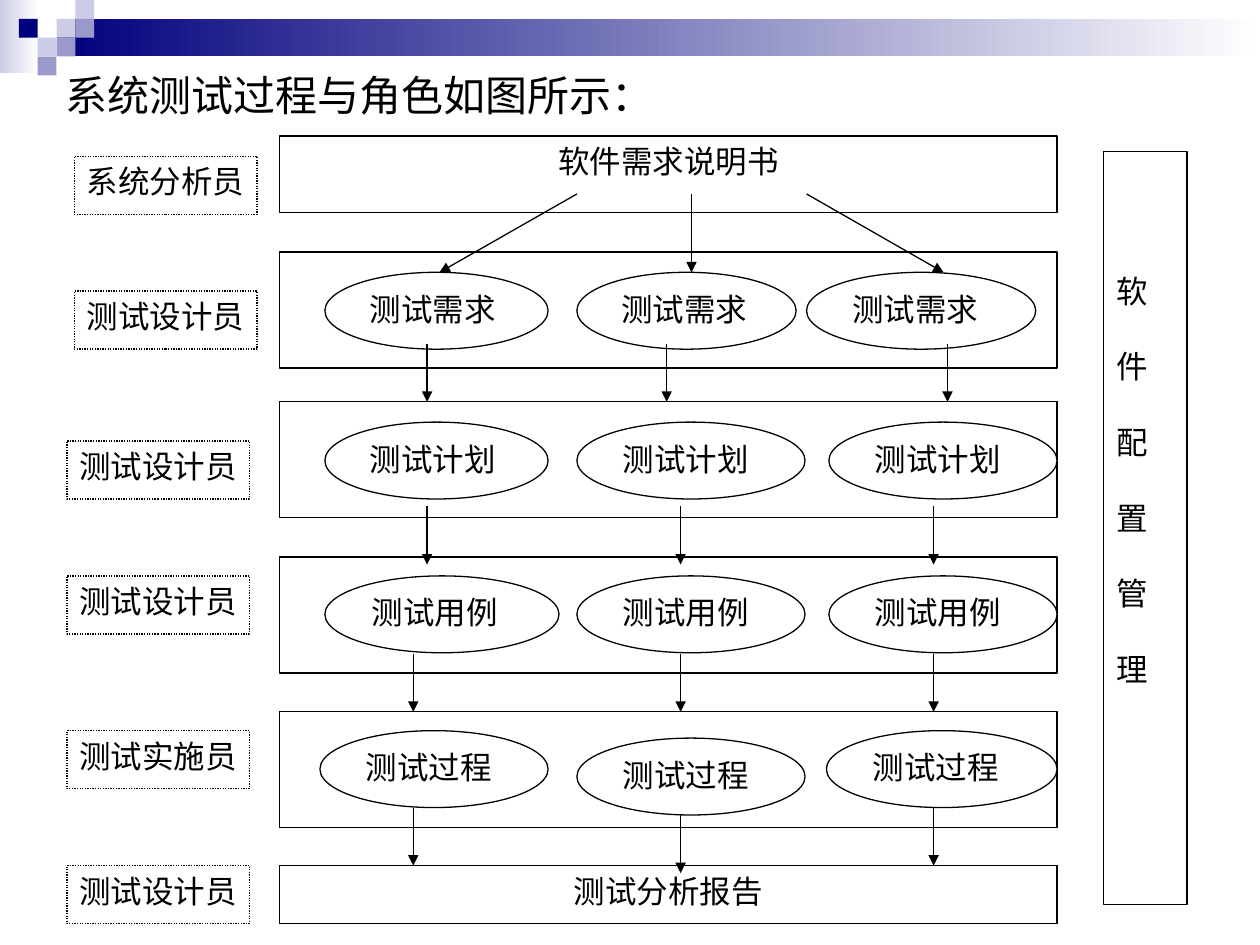
from dataclasses import dataclass

from lxml import etree
from pptx import Presentation
from pptx import util as u
from pptx.dml.color import RGBColor
from pptx.enum import dml, shapes, text
from pptx.oxml.ns import qn


@dataclass(frozen=True)
class Theme:
    font: str = "Arial"
    title_size: float = 24
    body_size: float = 18
    line_width: float = 0.75
    ink: str = "000000"
    paper: str = "FFFFFF"
    navy: str = "00007D"
    lilac: str = "9999CC"
    pale: str = "CCCCE6"


class FlowSlide:
    """Holds the theme and the current slide; all lengths are centimetres."""

    def __init__(self, prs, theme):
        self.theme = theme
        self.s = prs.slides.add_slide(prs.slide_layouts[5])

    def set_text(self, tf, lines, size, align=text.PP_ALIGN.LEFT, gap=0):
        """Put one paragraph per line, gap points apart."""
        tf.word_wrap = True
        tf.auto_size = text.MSO_AUTO_SIZE.NONE
        tf.vertical_anchor = text.MSO_ANCHOR.TOP
        for i, line in enumerate(lines):
            p = tf.paragraphs[0] if i == 0 else tf.add_paragraph()
            p.text = line
            p.alignment = align
            if i and gap:
                p.space_before = u.Pt(gap)
            p.font.size = u.Pt(size)
            p.font.name = self.theme.font
            p.font.color.rgb = RGBColor.from_string(self.theme.ink)

    def title(self, words, x, y, w, h):
        sp = self.s.shapes.title
        sp.left, sp.top, sp.width, sp.height = map(u.Cm, (x, y, w, h))
        self.set_text(sp.text_frame, [words], self.theme.title_size)

    def shape(self, kind, x, y, w, h):
        sp = self.s.shapes.add_shape(kind, *map(u.Cm, (x, y, w, h)))
        sp.shadow.inherit = False
        return sp

    def tile(self, colour, x, y, w, h):
        """Unlined block; it fades from one colour to the other if two are given."""
        sp = self.shape(shapes.MSO_SHAPE.RECTANGLE, x, y, w, h)
        sp.line.fill.background()
        if isinstance(colour, str):
            sp.fill.solid()
            sp.fill.fore_color.rgb = RGBColor.from_string(colour)
            return
        sp.fill.gradient()
        sp.fill.gradient_angle = 0
        for stop, position, c in zip(sp.fill.gradient_stops, (0, 1), colour):
            stop.position = position
            stop.color.rgb = RGBColor.from_string(c)

    def box(self, x, y, w, h, kind=shapes.MSO_SHAPE.RECTANGLE):
        sp = self.shape(kind, x, y, w, h)
        sp.fill.solid()
        sp.fill.fore_color.rgb = RGBColor.from_string(self.theme.paper)
        self.outline(sp.line)
        return sp

    def outline(self, line):
        line.color.rgb = RGBColor.from_string(self.theme.ink)
        line.width = u.Pt(self.theme.line_width)

    def banner(self, words, x, y, w, h):
        sp = self.box(x, y, w, h)
        self.set_text(sp.text_frame, [words], self.theme.body_size, text.PP_ALIGN.CENTER)

    def oval(self, words, x, y, w, h):
        sp = self.box(x, y, w, h, shapes.MSO_SHAPE.OVAL)
        self.set_text(sp.text_frame, [words], self.theme.body_size)

    def role(self, words, x, y, w, h):
        sp = self.box(x, y, w, h)
        sp.line.dash_style = dml.MSO_LINE.ROUND_DOT
        sp.text_frame.margin_right = 0
        self.set_text(sp.text_frame, [words], self.theme.body_size)

    def side_bar(self, words, x, y, w, h, top, gap):
        """Bar whose characters are stacked one per paragraph."""
        sp = self.box(x, y, w, h)
        sp.text_frame.margin_top = u.Cm(top)
        self.set_text(sp.text_frame, words, self.theme.body_size, gap=gap)

    def arrow(self, x1, y1, x2, y2):
        c = self.s.shapes.add_connector(
            shapes.MSO_CONNECTOR.STRAIGHT, *map(u.Cm, (x1, y1, x2, y2)))
        self.outline(c.line)
        sp_pr = c._element.spPr
        etree.SubElement(sp_pr.find(qn("a:ln")), qn("a:tailEnd"), type="triangle")
        etree.SubElement(sp_pr, qn("a:effectLst"))


LANE_X, LANE_W, LANE_H = 5.64, 15.67, 2.34
OVAL_H = 1.55
ARROW_LEN = 1.17

# lane top, oval text, ovals as (x, y, width)
LANES = [
    (5.08, "测试需求", [(6.55, 5.49, 4.5), (11.63, 5.49, 4.42), (16.26, 5.49, 4.62)]),
    (8.1, "测试计划", [(6.55, 8.51, 4.5), (11.63, 8.51, 4.6), (16.71, 8.51, 4.6)]),
    (11.23, "测试用例", [(6.55, 11.61, 4.72), (11.63, 11.61, 4.6), (16.71, 11.61, 4.6)]),
    (14.35, "测试过程", [(6.45, 14.73, 4.6), (11.63, 14.88, 4.6), (16.66, 14.73, 4.65)]),
]
ROLES = [
    ("系统分析员", 1.5, 3.15), ("测试设计员", 1.5, 5.87), ("测试设计员", 1.35, 8.89),
    ("测试设计员", 1.35, 11.61), ("测试实施员", 1.35, 14.73), ("测试设计员", 1.35, 17.45),
]
FAN = [(11.63, 8.86), (13.94, 13.94), (16.26, 19.02)]
DOWN_ARROWS = [
    (8.61, 6.93), (13.44, 6.93), (19.1, 6.93),
    (8.61, 10.21), (13.72, 10.21), (18.82, 10.21),
    (8.33, 13.18), (13.72, 13.18), (18.82, 13.18),
    (8.33, 16.28), (13.72, 16.43), (18.82, 16.28),
]


def draw_header(slide, theme):
    slide.tile((theme.pale, theme.paper), 0, 0, 0.79, 1.47)
    slide.tile((theme.navy, theme.paper), 1.14, 0.38, 24.26, 0.76)
    side = 0.38
    for colour, col, row in [
        (theme.pale, 3, 1), (theme.pale, 4, 0), (theme.lilac, 4, 1), (theme.pale, 2, 2),
        (theme.navy, 1, 1), (theme.lilac, 3, 2), (theme.lilac, 2, 3),
    ]:
        slide.tile(colour, col * side, row * side, side, side)


def main():
    prs = Presentation()
    prs.slide_width, prs.slide_height = u.Cm(25.4), u.Cm(19.05)
    theme = Theme()
    slide = FlowSlide(prs, theme)

    draw_header(slide, theme)
    slide.title("系统测试过程与角色如图所示：", 1.07, 1.27, 13.54, 1.27)

    slide.banner("软件需求说明书", LANE_X, 2.74, LANE_W, 1.55)
    for top, words, ovals in LANES:
        slide.box(LANE_X, top, LANE_W, LANE_H)
        for x, y, w in ovals:
            slide.oval(words, x, y, w, OVAL_H)
    slide.banner("测试分析报告", LANE_X, 17.45, LANE_W, 1.17)
    slide.side_bar("软件配置管理", 22.25, 3.05, 1.68, 15.19, top=2.43, gap=21.6)

    for words, x, y in ROLES:
        slide.role(words, x, y, 3.68, 1.17)
    for x1, x2 in FAN:
        slide.arrow(x1, 3.91, x2, 5.49)
    for x, y in DOWN_ARROWS:
        slide.arrow(x, y, x, y + ARROW_LEN)

    prs.save("out.pptx")


if __name__ == "__main__":
    main()
